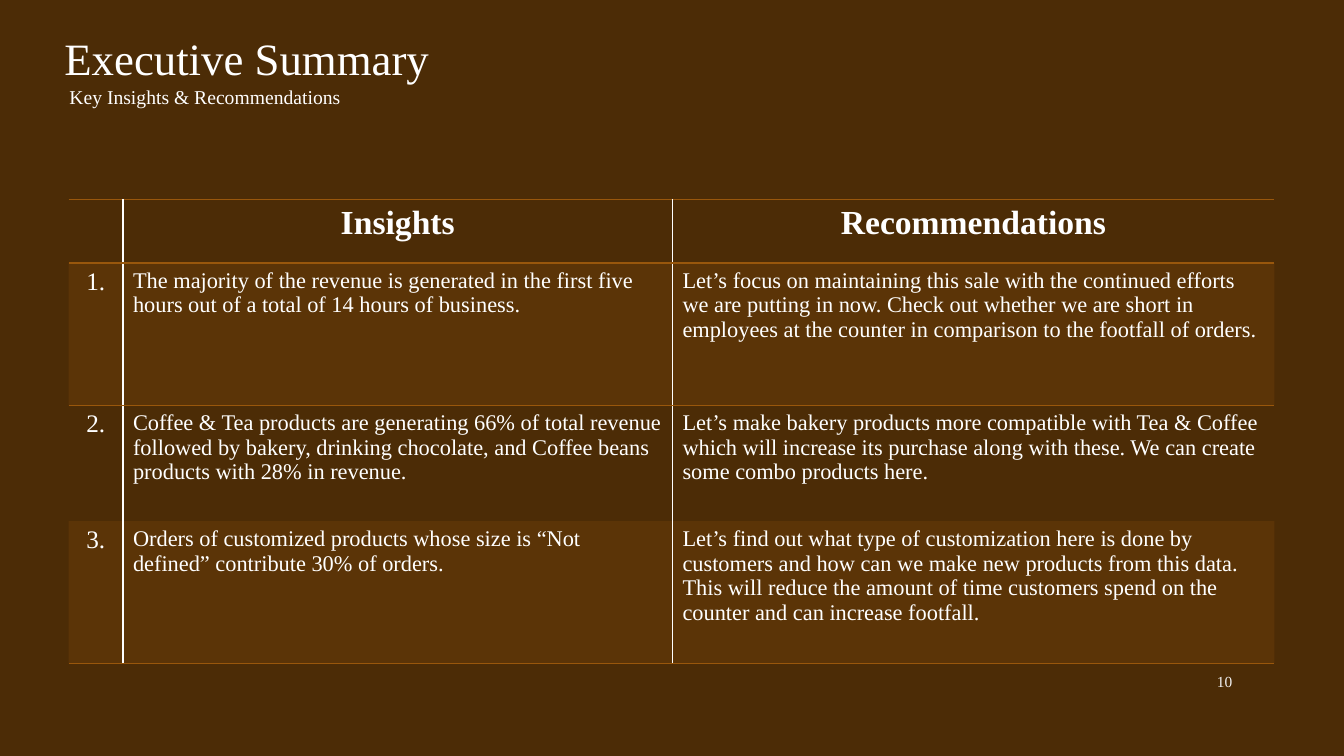
from dataclasses import dataclass

from lxml import etree
from pptx import Presentation
from pptx.dml.color import RGBColor
from pptx.enum.text import MSO_ANCHOR, PP_ALIGN
from pptx.oxml.ns import qn
from pptx.util import Inches, Pt

LEFT, CENTER, RIGHT = PP_ALIGN.LEFT, PP_ALIGN.CENTER, PP_ALIGN.RIGHT
MIDDLE, BOTTOM = MSO_ANCHOR.MIDDLE, MSO_ANCHOR.BOTTOM

FONT = "Times New Roman"
WHITE = "FFFFFF"
BROWN = "99570C"
NO_STYLE = "{2D5ABB26-0587-4C30-8999-92F81FD0307C}"
COLUMN_WIDTHS = (0.54, 5.45, 5.97)


@dataclass
class TableRow:
    height: float
    texts: tuple[str, str, str]
    sizes: tuple[int, int, int] = (18, 16, 16)
    alignments: tuple = (CENTER, LEFT, LEFT)
    bold: bool = False
    shaded: bool = False
    ruled: tuple[str, ...] = ()


ROWS = [
    TableRow(0.63, ("", "Insights", "Recommendations"), (18, 24, 24),
             (CENTER, CENTER, CENTER), bold=True, ruled=("T", "B")),
    TableRow(1.41, (
        "1.",
        "The majority of the revenue is generated in the first five hours out of a total "
        "of 14 hours of business.",
        "Let’s focus on maintaining this sale with the continued efforts we are putting in "
        "now. Check out whether we are short in employees at the counter in comparison to "
        "the footfall of orders.",
    ), shaded=True, ruled=("T",)),
    TableRow(1.15, (
        "2.",
        "Coffee & Tea products are generating 66% of total revenue followed by bakery, "
        "drinking chocolate, and Coffee beans products with 28% in revenue.",
        "Let’s make bakery products more compatible with Tea & Coffee which will increase "
        "its purchase along with these. We can create some combo products here.",
    )),
    TableRow(1.41, (
        "3.",
        "Orders of customized products whose size is “Not defined” contribute 30% of orders.",
        "Let’s find out what type of customization here is done by customers and how can we "
        "make new products from this data. This will reduce the amount of time customers "
        "spend on the counter and can increase footfall.",
    ), shaded=True, ruled=("B",)),
]


def color(value: str) -> RGBColor:
    return RGBColor.from_string(value)


def format_paragraph(paragraph, size: int, alignment=LEFT, text_color: str = WHITE,
                     bold: bool = False) -> None:
    paragraph.alignment = alignment
    for font in [paragraph.font] + [span.font for span in paragraph.runs]:
        font.name = FONT
        font.size = Pt(size)
        font.bold = bold
        font.color.rgb = color(text_color)


def add_text_box(page, left: float, top: float, width: float, height: float,
                 text: str, anchor):
    box = page.shapes.add_textbox(Inches(left), Inches(top), Inches(width), Inches(height))
    frame = box.text_frame
    frame.word_wrap = True
    frame.vertical_anchor = anchor
    frame.text = text
    return frame.paragraphs


def add_border(properties, side: str, line_color: str) -> None:
    line = etree.SubElement(properties, qn(f"a:ln{side}"), w=str(Pt(1)))
    fill = etree.SubElement(line, qn("a:solidFill"))
    etree.SubElement(fill, qn("a:srgbClr"), val=line_color)


def style_cell(cell, row: TableRow, column: int) -> None:
    properties = cell._tc.get_or_add_tcPr()
    if column > 0:
        add_border(properties, "L", WHITE)
    if column < len(COLUMN_WIDTHS) - 1:
        add_border(properties, "R", WHITE)
    for side in row.ruled:
        add_border(properties, side, BROWN)
    if row.shaded:
        cell.fill.solid()
        cell.fill.fore_color.rgb = color(BROWN)
        shade = properties.find(qn("a:solidFill")).find(qn("a:srgbClr"))
        etree.SubElement(shade, qn("a:alpha"), val="20000")
    else:
        cell.fill.background()


def add_summary_table(page) -> None:
    frame = page.shapes.add_table(
        len(ROWS), len(COLUMN_WIDTHS), Inches(0.68), Inches(1.98),
        Inches(sum(COLUMN_WIDTHS)), Inches(sum(row.height for row in ROWS)))
    table = frame.table
    table.horz_banding = False
    table._tbl.tblPr.find(qn("a:tableStyleId")).text = NO_STYLE
    for column, width in zip(table.columns, COLUMN_WIDTHS):
        column.width = Inches(width)
    for row_index, row in enumerate(ROWS):
        table.rows[row_index].height = Inches(row.height)
        for column_index, text in enumerate(row.texts):
            cell = table.cell(row_index, column_index)
            cell.text_frame.text = text
            format_paragraph(cell.text_frame.paragraphs[0], row.sizes[column_index],
                             row.alignments[column_index], bold=row.bold)
            style_cell(cell, row, column_index)


def main() -> None:
    deck = Presentation()
    deck.slide_width, deck.slide_height = Inches(13.33), Inches(7.5)
    page = deck.slides.add_slide(deck.slide_layouts[6])
    page.background.fill.solid()
    page.background.fill.fore_color.rgb = color("4C2C06")

    number = add_text_box(page, 11.5, 6.56, 0.82, 0.4, "10", MIDDLE)[0]
    format_paragraph(number, 11, RIGHT, "F2F2F2")

    title, subtitle = add_text_box(page, 0.54, 0.24, 7.38, 0.88,
                                   "Executive Summary\nKey Insights & Recommendations", BOTTOM)
    format_paragraph(title, 32)
    format_paragraph(subtitle, 14)
    subtitle._p.get_or_add_pPr().set("marL", str(Inches(0.05)))

    add_summary_table(page)
    deck.save("out.pptx")


if __name__ == "__main__":
    main()
